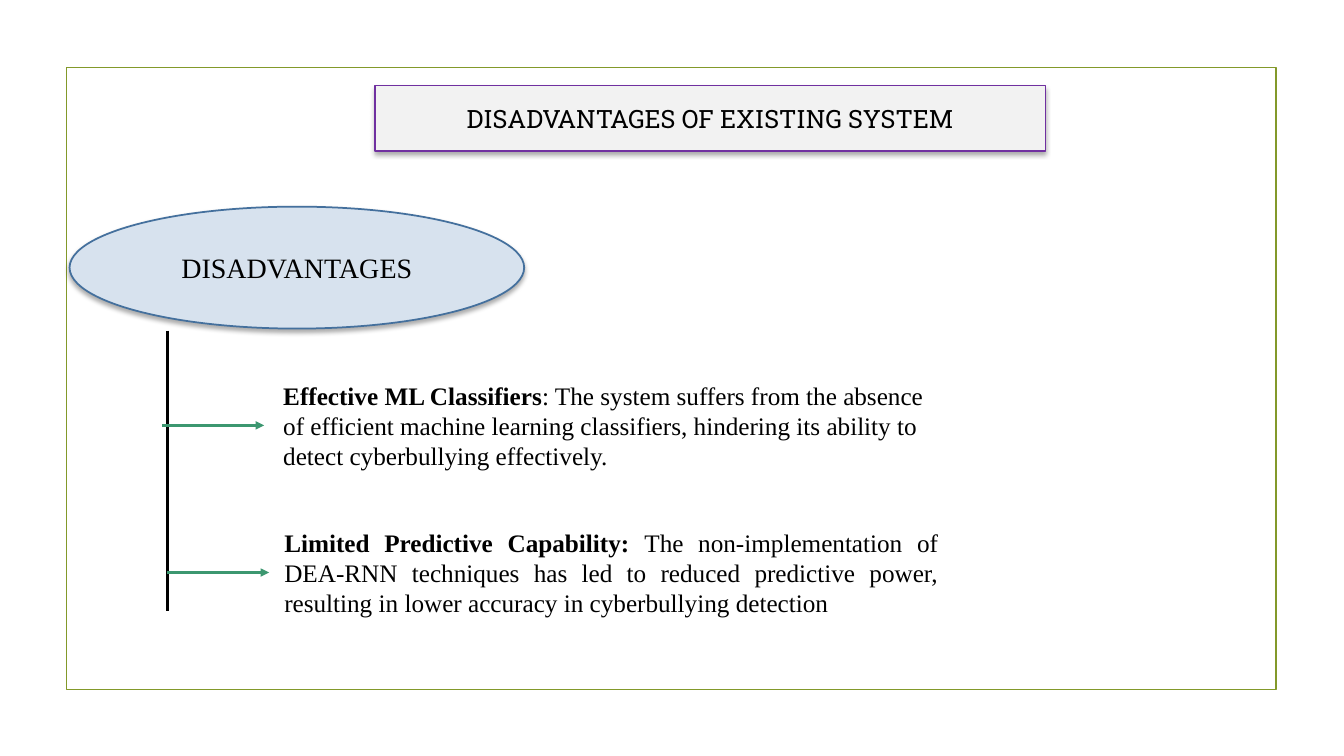
from lxml import etree
from pptx import Presentation
from pptx.dml.color import RGBColor
from pptx.enum.shapes import MSO_CONNECTOR, MSO_SHAPE
from pptx.enum.text import MSO_ANCHOR, MSO_AUTO_SIZE, PP_ALIGN
from pptx.oxml.ns import qn
from pptx.util import Inches, Pt

LEFT, MID, JUST = PP_ALIGN.LEFT, PP_ALIGN.CENTER, PP_ALIGN.JUSTIFY
TOP, CORE = MSO_ANCHOR.TOP, MSO_ANCHOR.MIDDLE
FIXED = MSO_AUTO_SIZE.NONE
RECT, OVAL = MSO_SHAPE.RECTANGLE, MSO_SHAPE.OVAL
LINE = MSO_CONNECTOR.STRAIGHT
WIDE, HIGH = Inches(13.333), Inches(7.5)
COL, ROW = WIDE / 40, HIGH / 30
SERIF, SLAB = "Times New Roman", "Roboto Slab"
BLACK, GREEN = "000000", "3C9770"

ITEMS = [
    (0, LEFT, "Effective ML Classifiers",
     ": The system suffers from the absence of efficient machine learning "
     "classifiers, hindering its ability to detect cyberbullying effectively."),
    (0.15, JUST, "Limited Predictive Capability: ",
     "The non-implementation of DEA-RNN techniques has led to reduced "
     "predictive power, resulting in lower accuracy in cyberbullying detection"),
]


def tint(code):
    return RGBColor.from_string(code)


def node(root, tag, **attrs):
    return etree.SubElement(root, qn(tag), attrs)


def sub(box, x, y, wide, high):
    return box[0] + x, box[1] + y, wide, high


def put(shape, box):
    x, y, wide, high = box
    shape.left, shape.top = round(x * COL), round(y * ROW)
    shape.width, shape.height = round(wide * COL), round(high * ROW)


def write(shape, *parts, size=18, face=SERIF, align=LEFT, anchor=TOP):
    frame = shape.text_frame
    frame.word_wrap = True
    frame.auto_size = FIXED
    frame.vertical_anchor = anchor
    para = frame.paragraphs[0]
    props = para._p.get_or_add_pPr()
    props.set("marL", "0")
    props.set("indent", "0")
    node(props, "a:buNone")
    para.alignment = align
    para.space_before = Pt(0)
    for text, bold in parts:
        run = para.add_run()
        run.text = text
        font = run.font
        font.name, font.size, font.bold = face, Pt(size), bold
        font.color.rgb = tint(BLACK)


def paint(shape, fill, edge, width):
    shape.fill.solid()
    shape.fill.fore_color.rgb = tint(fill)
    shape.line.color.rgb = tint(edge)
    shape.line.width = Pt(width)
    shape.shadow.inherit = False
    glow = node(shape._element.spPr.find(qn("a:effectLst")), "a:outerShdw",
                blurRad=str(Pt(3.5)), dist=str(Pt(2.2)), dir="5400000",
                rotWithShape="0")
    shade = node(glow, "a:srgbClr", val=BLACK)
    node(shade, "a:alpha", val="32000")


def link(slide, box, color, tip=False):
    x, y, wide, high = box
    line = slide.shapes.add_connector(
        LINE, round(x * COL), round(y * ROW),
        round((x + wide) * COL), round((y + high) * ROW))
    line.line.color.rgb = tint(color)
    line.line.width = Pt(2)
    if tip:
        node(line.line._get_or_add_ln(), "a:tailEnd", type="triangle")
    node(line._element.spPr, "a:effectLst")


def border(slide, box):
    shape = slide.shapes.add_shape(RECT, 0, 0, 0, 0)
    put(shape, box)
    shape.fill.background()
    shape.line.color.rgb = tint("83992A")
    shape.line.width = Pt(1.25)
    shape.shadow.inherit = False


def head(slide, box):
    title = slide.shapes.title
    put(title, box)
    form = node(title._element.spPr, "a:prstGeom", prst="roundRect")
    node(form, "a:avLst")
    paint(title, "F2F2F2", "7030A0", 1)
    write(title, ("DISADVANTAGES OF EXISTING SYSTEM", False),
          face=SLAB, align=MID, anchor=CORE)


def topic(slide, box):
    oval = slide.shapes.add_shape(OVAL, 0, 0, 0, 0)
    put(oval, box)
    paint(oval, "D7E2EE", "44709D", 1.25)
    write(oval, ("DISADVANTAGES", False), size=20, align=MID, anchor=CORE)


def branch(slide, box):
    link(slide, sub(box, 0.15, 0, 0, 11.12), BLACK)
    bodies = list(slide.placeholders)[1:]
    for i, (body, item) in enumerate(zip(bodies, ITEMS)):
        shift, align, name, text = item
        y = 1.76 + i * 5.84
        link(slide, sub(box, shift, y + 2, 3.03, 0), GREEN, tip=True)
        put(body, sub(box, 3.3 + shift / 5, y, 20.07, 4.04))
        write(body, (name, True), (text, False), align=align)


def main():
    deck = Presentation()
    deck.slide_width, deck.slide_height = WIDE, HIGH
    slide = deck.slides.add_slide(deck.slide_layouts[3])
    box = 1.98, 2.68, 36, 24.68
    border(slide, box)
    head(slide, sub(box, 9.18, 0.72, 19.95, 2.6))
    branch(slide, sub(box, 2.85, 10.44, 23.4, 11.64))
    topic(slide, sub(box, 0.09, 5.52, 13.53, 4.84))
    deck.save("out.pptx")


if __name__ == "__main__":
    main()
